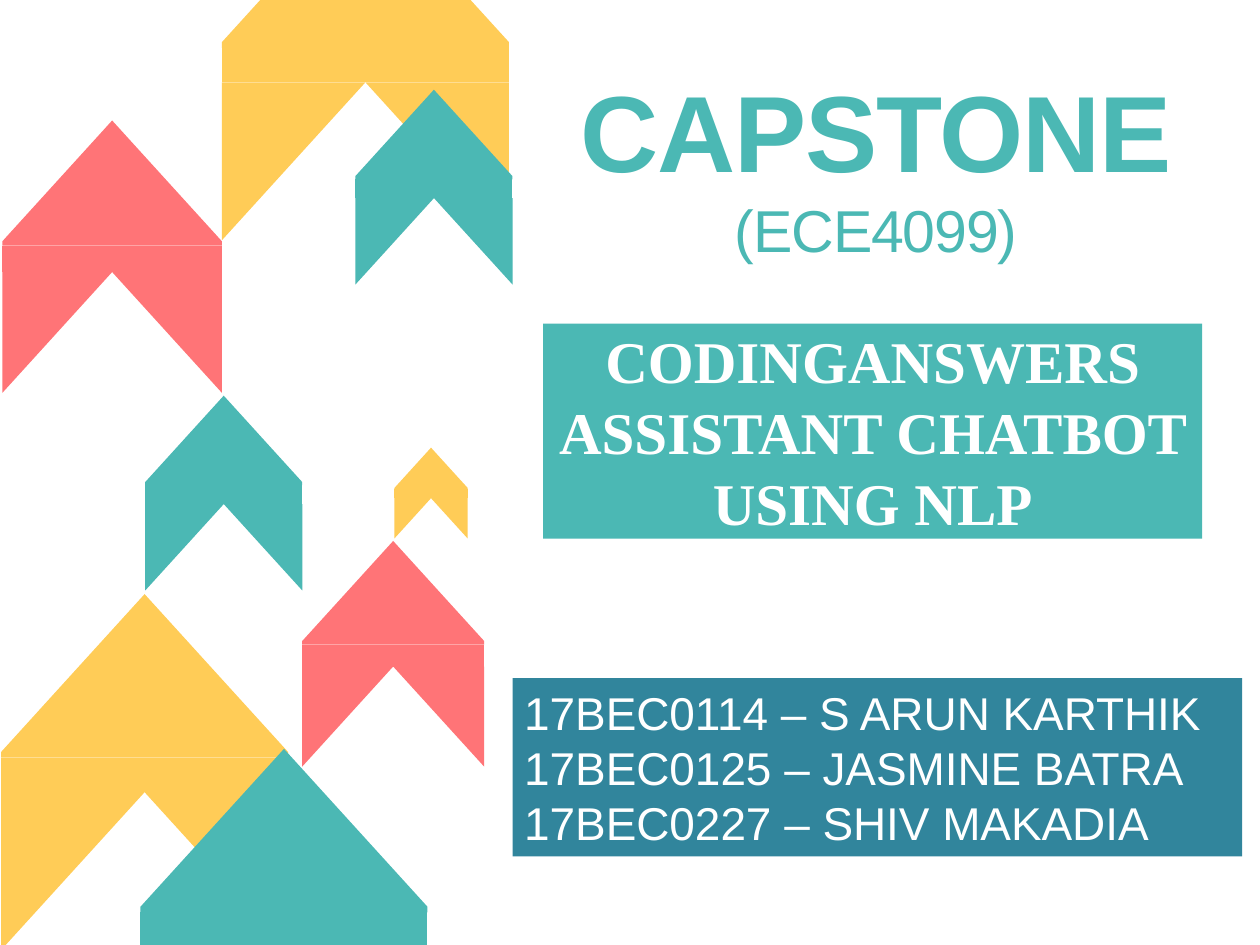
from pptx import Presentation
from pptx.dml.color import RGBColor
from pptx.enum.shapes import MSO_CONNECTOR as LINE, MSO_SHAPE as SHAPE
from pptx.enum.text import MSO_ANCHOR as ANCHOR, PP_ALIGN as ALIGN
from pptx.oxml.ns import qn
from pptx.util import Inches, Pt
from lxml.etree import SubElement

WIDTH, HEIGHT = 10.67, 8
TEAL, YELLOW, CORAL, BLUE, WHITE = "4BB8B4", "FFCC57", "FF7477", "31859C", "FFFFFF"
SHOULDER, BROW, NOTCH, FOOT = 0.55, 0.57, 0.69, 1.24

CHEVRONS = [
    (0.01, 5.03, 2.43, YELLOW),
    (1.19, 6.34, 2.43, TEAL),
    (2.56, 4.58, 1.54, CORAL),
    (3.34, 3.79, 0.62, YELLOW),
    (1.23, 3.35, 1.33, TEAL),
    (0.02, 1.02, 1.86, CORAL),
    (1.88, -0.98, 2.43, YELLOW),
    (3.01, 0.76, 1.33, TEAL),
]
SMALLEST = min(width for _, _, width, _ in CHEVRONS)


def paint(color_format, color):
    color_format.rgb = RGBColor.from_string(color)


def fill_plain(shape, color):
    shape.shadow.inherit = False
    shape.fill.solid()
    paint(shape.fill.fore_color, color)
    shape.line.fill.background()


def clip_to_page(points):
    clipped = []
    for (x1, y1), (x2, y2) in zip(points, points[1:] + points[:1]):
        if 0 <= y1 <= HEIGHT:
            clipped.append((x1, y1))
        crossings = [edge for edge in (0, HEIGHT) if (y1 - edge) * (y2 - edge) < 0]
        for edge in sorted(crossings, reverse=y1 > y2):
            clipped.append((x1 + (x2 - x1) * (edge - y1) / (y2 - y1), edge))
    return clipped


def add_polygon(page, points, color):
    corners = [(Inches(x), Inches(y)) for x, y in clip_to_page(points)]
    if corners:
        builder = page.shapes.build_freeform(*corners[0])
        builder.add_line_segments(corners[1:])
        fill_plain(builder.convert_to_shape(), color)


def add_band_line(page, left, right, y, color):
    band = page.shapes.add_connector(
        LINE.STRAIGHT, Inches(left), Inches(y), Inches(right), Inches(y))
    paint(band.line.color, color)
    band.line.width = Pt(5.44)
    SubElement(band._element.spPr, qn("a:effectLst"))


def add_chevron(page, left, top, width, color):
    middle, right = left + width / 2, left + width
    shoulder, brow, notch, foot = (
        top + width * share for share in (SHOULDER, BROW, NOTCH, FOOT))
    if width == SMALLEST:
        add_band_line(page, left, right, (brow + notch) / 2, color)
    else:
        add_polygon(page, [(left, notch), (right, notch), (right, brow), (left, brow)], color)
    for side in (right, left):
        add_polygon(page, [(middle, notch), (side, foot), (side, notch)], color)
    add_polygon(page, [(right, shoulder), (right, brow), (left, brow),
                       (left, shoulder), (middle, top)], color)


def format_run(span, font, size, color, bold=False):
    span.font.name = font
    span.font.size = Pt(size)
    span.font.bold = bold
    paint(span.font.color, color)


def add_title(page, left, top, width, height):
    box = page.shapes.add_textbox(*map(Inches, (left, top, width, height)))
    frame = box.text_frame
    frame.word_wrap = True
    frame.vertical_anchor = ANCHOR.MIDDLE
    frame.margin_left = frame.margin_right = frame.margin_bottom = 0
    frame.margin_top = Inches(0.2)
    frame.text = "CAPSTONE\v(ECE4099)"
    para = frame.paragraphs[0]
    para.alignment = ALIGN.CENTER
    name, code = para.runs
    format_run(name, "Arial", 66, TEAL, bold=True)
    format_run(code, "Arial", 36, TEAL)
    for span in (name, code):
        span.font._element.set("spc", "-70")


def add_panel(page, place, color, text, font, size, align, bold=False, margin=None):
    panel = page.shapes.add_shape(SHAPE.RECTANGLE, *map(Inches, place))
    fill_plain(panel, color)
    frame = panel.text_frame
    frame.word_wrap = True
    frame.vertical_anchor = ANCHOR.MIDDLE
    if margin is not None:
        frame.margin_left = frame.margin_right = Inches(margin)
        frame.margin_top = frame.margin_bottom = Inches(margin)
    frame.text = text
    for para in frame.paragraphs:
        para.alignment = align
        for span in para.runs:
            format_run(span, font, size, WHITE, bold)


def main():
    deck = Presentation()
    deck.slide_width, deck.slide_height = Inches(WIDTH), Inches(HEIGHT)
    page = deck.slides.add_slide(deck.slide_layouts[6])
    add_title(page, 4.63, 0.33, 5.58, 1.92)
    add_panel(page, (4.6, 2.74, 5.58, 1.82), TEAL,
              "CODINGANSWERS ASSISTANT CHATBOT USING NLP",
              "Times New Roman", 36, ALIGN.CENTER, bold=True, margin=0)
    for chevron in CHEVRONS:
        add_chevron(page, *chevron)
    members = ["17BEC0114 – S ARUN KARTHIK", "17BEC0125 – JASMINE BATRA",
               "17BEC0227 – SHIV MAKADIA"]
    add_panel(page, (4.34, 5.74, 6.18, 1.51), BLUE, "\n".join(members),
              "Arial", 28, ALIGN.LEFT)
    deck.save("out.pptx")


if __name__ == "__main__":
    main()
